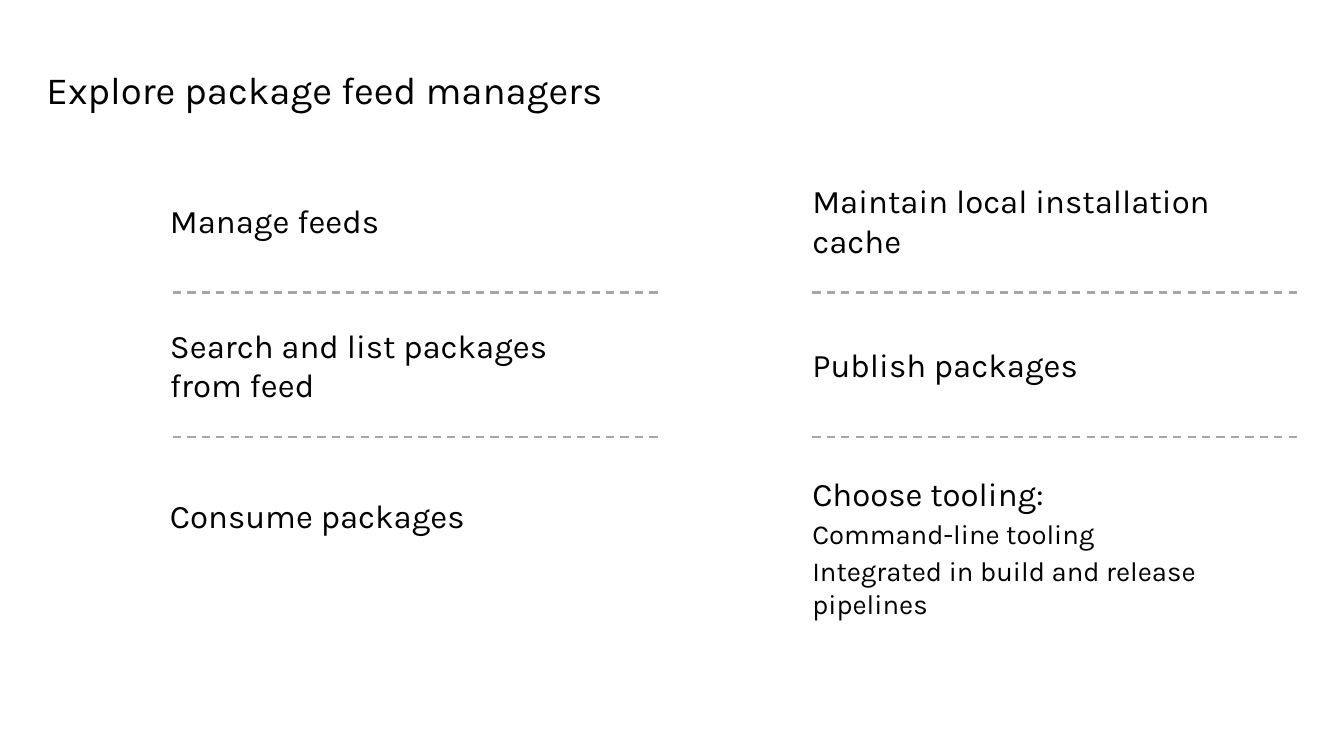
from lxml.etree import SubElement
from pptx import Presentation
from pptx.dml.color import RGBColor
from pptx.enum.dml import MSO_LINE
from pptx.enum.shapes import MSO_CONNECTOR
from pptx.enum.text import MSO_ANCHOR, MSO_AUTO_SIZE
from pptx.oxml.ns import qn
from pptx.util import Inches, Pt


def color(hex_value):
    return RGBColor.from_string(hex_value)


class FeedSlide:
    font_name = "Karla"
    text_color = "000000"
    rule_color = "A6A6A6"
    frame_format = {
        "word_wrap": True,
        "auto_size": MSO_AUTO_SIZE.SHAPE_TO_FIT_TEXT,
        "margin_left": 0,
        "margin_top": 0,
        "margin_right": 0,
        "margin_bottom": 0,
    }

    def __init__(self, presentation):
        blank = presentation.slide_layouts[6]
        self.slide = presentation.slides.add_slide(blank)

    def text(self, left, top, width, height, paragraphs,
             anchor=MSO_ANCHOR.MIDDLE, line_spacing=None):
        """Each paragraph is (words, size, space before) with points."""
        box = self.slide.shapes.add_textbox(
            Inches(left), Inches(top), Inches(width), Inches(height))
        frame = box.text_frame
        for name, value in {**self.frame_format, "vertical_anchor": anchor}.items():
            setattr(frame, name, value)
        for index, (words, size, space_before) in enumerate(paragraphs):
            paragraph = frame.add_paragraph() if index else frame.paragraphs[0]
            paragraph.text = words
            if space_before:
                paragraph.space_before = Pt(space_before)
            if line_spacing:
                paragraph.line_spacing = Pt(line_spacing)
            for run in paragraph.runs:
                run.font.name = self.font_name
                run.font.size = Pt(size)
                run.font.color.rgb = color(self.text_color)

    def rule(self, left, top, width):
        rule = self.slide.shapes.add_connector(
            MSO_CONNECTOR.STRAIGHT, Inches(left), Inches(top),
            Inches(left + width), Inches(top))
        rule.line.color.rgb = color(self.rule_color)
        line_format = {"width": Pt(1.5), "dash_style": MSO_LINE.DASH}
        for name, value in line_format.items():
            setattr(rule.line, name, value)
        SubElement(rule._element.spPr, qn("a:effectLst"))


def main():
    presentation = Presentation()
    presentation.slide_width = Inches(13.6)
    presentation.slide_height = Inches(7.65)
    feeds = FeedSlide(presentation)

    # Title
    feeds.text(0.47, 0.69, 12.65, 0.45,
               [("Explore package feed managers", 28, 0)],
               anchor=MSO_ANCHOR.TOP, line_spacing=32)

    # Two columns: text left, rule left, then (middle, height, paragraphs) by row
    column_width = 4.93
    columns = [
        (1.72, 1.75, [
            (2.23, 0.4, [("Manage feeds", 24, 0)]),
            (3.69, 0.81, [("Search and list packages\nfrom feed", 24, 0)]),
            (5.21, 0.4, [("Consume packages", 24, 0)]),
        ]),
        (8.22, 8.22, [
            (2.23, 0.4, [("Maintain local installation cache", 24, 0)]),
            (3.69, 0.4, [("Publish packages", 24, 0)]),
            (5.53, 1.16, [
                ("Choose tooling:", 24, 0),
                ("Command-line tooling", 20, 3),
                ("Integrated in build and release pipelines", 20, 3),
            ]),
        ]),
    ]
    first_rule, row_pitch = 2.96, 1.46
    for text_left, rule_left, topics in columns:
        for middle, height, paragraphs in topics:
            feeds.text(text_left, middle - height / 2, column_width, height, paragraphs)
        # Dashed rules between the rows
        for gap in range(len(topics) - 1):
            feeds.rule(rule_left, first_rule + gap * row_pitch, column_width)

    presentation.save("out.pptx")


if __name__ == "__main__":
    main()
